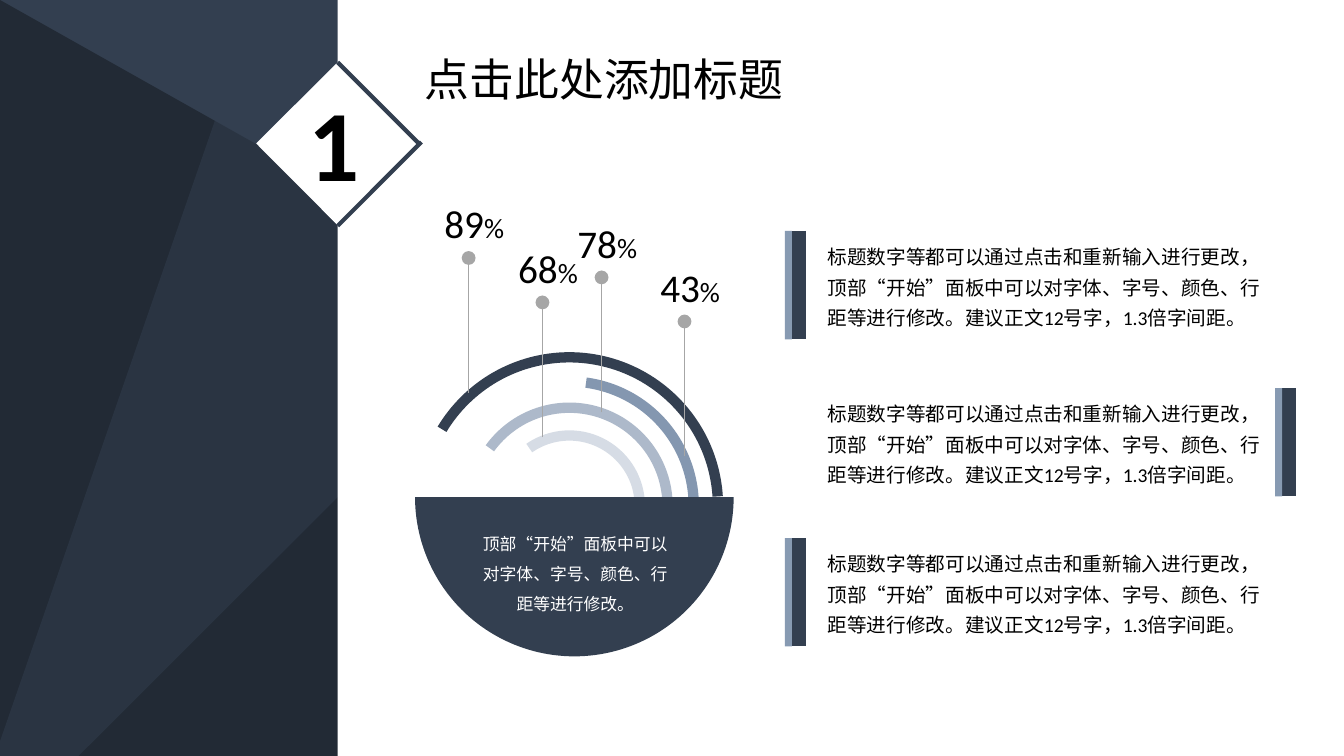
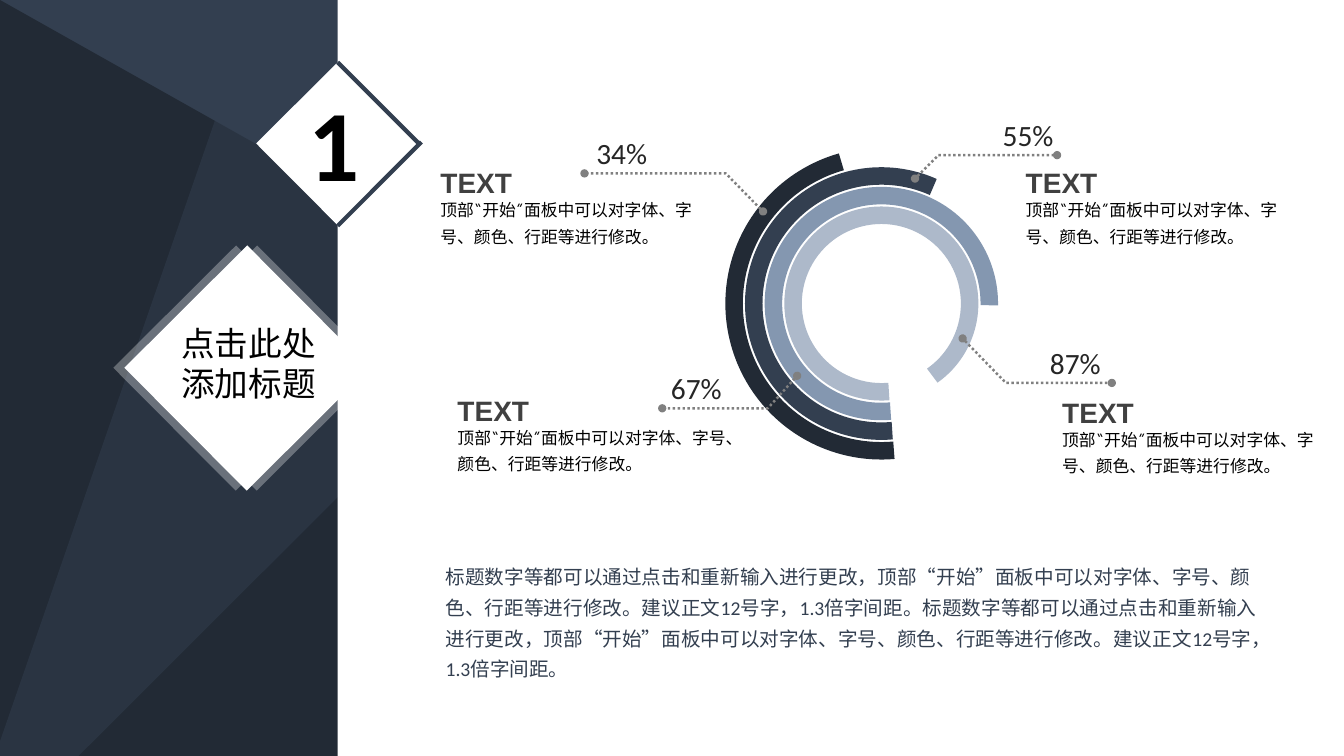
from lxml import etree
from pptx import Presentation
from pptx.dml.color import RGBColor
from pptx.enum.dml import MSO_LINE
from pptx.enum.shapes import MSO_CONNECTOR, MSO_SHAPE
from pptx.enum.text import MSO_AUTO_SIZE, PP_ALIGN
from pptx.oxml.ns import qn
from pptx.util import Cm, Pt

RECT = MSO_SHAPE.RECTANGLE
TRI = MSO_SHAPE.ISOSCELES_TRIANGLE
LINE = MSO_CONNECTOR.STRAIGHT
DOTS = MSO_LINE.ROUND_DOT
FIT = MSO_AUTO_SIZE.SHAPE_TO_FIT_TEXT
CENTER = PP_ALIGN.CENTER

NIGHT, NAVY, STEEL, MIST, PALE = "222A35", "333F50", "8497B0", "ADB9CA", "D6DCE5"
WHITE, BLACK = "FFFFFF", "000000"
HAN, LATIN, SMALL, HEAD = "Noto Sans CJK SC", "Calibri", "TeX Gyre Adventor", "Arial"
WIDE, HIGH = 33.87, 19.05

TITLE = "点击此处添加标题"
HINT = "顶部“开始”面板中可以对字体、字号、颜色、行距等进行修改。"
BODY = "标题数字等都可以通过点击和重新输入进行更改，" + HINT + "建议正文12号字，1.3倍字间距。"

hue = RGBColor.from_string


def paint(shape, fill=None, line=None, width=0, alpha=None, dash=None, ends=(), dot="med"):
    """Set fill, line, opacity in percent and round line ends; drop the shadow."""
    if fill:
        shape.fill.solid()
        shape.fill.fore_color.rgb = hue(fill)
    elif hasattr(shape, "fill"):
        shape.fill.background()
    if line:
        shape.line.color.rgb = hue(line)
        shape.line.width = Pt(width)
        if dash:
            shape.line.dash_style = dash
    else:
        shape.line.fill.background()
    props = shape.element.spPr
    for end in ends:
        etree.SubElement(props.find(qn("a:ln")), qn("a:" + end), type="oval", w=dot, len=dot)
    if alpha:
        tint = props.find(".//" + qn("a:srgbClr"))
        etree.SubElement(tint, qn("a:alpha"), val=str(alpha * 1000))
    etree.SubElement(props, qn("a:effectLst"))


def write(slide, x, y, w, h, text, size, color=BLACK, latin=LATIN, han=HAN, bold=False,
          wrap=True, pad=(0.25, 0.13), space=None, before=None, align=None, unit=""):
    """Add a text box; a unit follows the text in a smaller size."""
    frame = slide.shapes.add_textbox(Cm(x), Cm(y), Cm(w), Cm(h)).text_frame
    frame.word_wrap = wrap
    frame.auto_size = FIT
    frame.margin_left = frame.margin_right = Cm(pad[0])
    frame.margin_top = frame.margin_bottom = Cm(pad[1])
    frame.text = text
    for para in frame.paragraphs:
        para.line_spacing = space
        para.space_before = before
        para.alignment = align
        if unit:
            para.add_run().text = unit
        for run, points in zip(para.runs, (size, 20)):
            run.font.size = Pt(points)
            run.font.bold = bold
            run.font.name = latin
            run.font.color.rgb = hue(color)
            etree.SubElement(run.font._element, qn("a:ea"), typeface=han)


deck = Presentation()
deck.slide_width, deck.slide_height = Cm(WIDE), Cm(HIGH)
blank = deck.slide_layouts[6]
first, second = (deck.slides.add_slide(blank) for _ in range(2))

# Faceted backdrop, moved to the layout
blank.background.fill.solid()
blank.background.fill.fore_color.rgb = hue(NAVY)
facets = [
    (TRI, 0, 0, WIDE, HIGH, 0, 0, NIGHT, None),
    (MSO_SHAPE.PARALLELOGRAM, -1.8, 4.27, 37.44, 10.49, 346.3, 0.25, NIGHT, 50),
    (TRI, 3, -2.95, 13.74, 28.24, 199.1, 1, NAVY, 50),
]
for kind, x, y, w, h, turn, bend, color, alpha in facets:
    facet = first.shapes.add_shape(kind, Cm(x), Cm(y), Cm(w), Cm(h))
    facet.rotation = turn
    facet.adjustments[0] = bend
    paint(facet, color, alpha=alpha)
    blank.shapes.element.append(facet.element)

# White panel and numbered diamond
for slide in (first, second):
    panel = slide.shapes.add_shape(RECT, Cm(8.51), 0, Cm(WIDE - 8.51), Cm(HIGH))
    paint(panel, WHITE)
    badge = slide.shapes.add_shape(RECT, Cm(7.06), Cm(2.16), Cm(2.92), Cm(2.92))
    badge.rotation = 45.1
    paint(badge, WHITE)
    for ax, ay, bx, by in [(8.51, 1.57, 10.57, 3.63), (10.62, 3.58, 8.51, 5.69)]:
        edge = slide.shapes.add_connector(LINE, Cm(ax), Cm(ay), Cm(bx), Cm(by))
        paint(edge, line=NAVY, width=3)
    write(slide, 7.52, 1.9, 1.9, 3.33, "1", 72, bold=True)

# Slide 1: title
write(first, 10.46, 1.17, 10.39, 1.63, TITLE, 32)

# Slide 1: half rings around one centre
rings = [(3.81, 141.17, PALE), (5.21, 129.57, MIST), (6.53, 166.62, STEEL), (7.75, 126.63, NAVY)]
for size, start, color in rings:
    ring = first.shapes.add_shape(MSO_SHAPE.BLOCK_ARC, Cm(14.35 - size / 2),
                                  Cm(12.75 - size / 2), Cm(size), Cm(size))
    for i, value in enumerate((start, 213.8, 0.26 / size)):
        ring.adjustments[i] = value
    paint(ring, color)

# Slide 1: bowl
bowl = first.shapes.add_shape(MSO_SHAPE.PIE, Cm(10.46), Cm(8.51), Cm(8.03), Cm(8.03))
bowl.adjustments[0], bowl.adjustments[1] = 0, 108
paint(bowl, NAVY)
write(first, 11.86, 13.06, 5.28, 2.46, HINT, 12, WHITE, space=1.5, before=Pt(6), align=CENTER)

# Slide 1: paragraphs with double bars
for x, y in [(20.14, 5.82), (32.49, 9.78), (20.14, 13.56)]:
    for left, color, width, alpha in [(x, NAVY, 10, None), (x - 0.27, STEEL, 5, 96)]:
        bar = first.shapes.add_connector(LINE, Cm(left), Cm(y), Cm(left), Cm(y + 2.73))
        paint(bar, line=color, width=width, alpha=alpha)
    write(first, 20.68, y + 0.08, 11.53, 2.51, BODY, 14, pad=(0.18, 0.1), space=1.3)

# Slide 1: pins with percentages
for x, y, value in [(13.67, 7.62, "68"), (15.16, 6.99, "78"), (17.25, 8.1, "43"), (11.81, 6.5, "89")]:
    pin = first.shapes.add_connector(LINE, Cm(x), Cm(y + 3.4), Cm(x), Cm(y))
    paint(pin, line="A6A6A6", width=1, ends=("tailEnd",), dot="lg")
    write(first, x - 0.86, y - 1.6, 2.46, 1.45, value, 28, unit="%")

# Slide 2: title diamond
for x, alpha in [(4.29, 30), (3.76, 30), (4.04, None)]:
    tile = second.shapes.add_shape(RECT, Cm(x), Cm(7.09), Cm(4.37), Cm(4.37))
    tile.rotation = 45.1
    paint(tile, WHITE, alpha=alpha)
write(second, 4.32, 8, 4.19, 2.31, TITLE[:4] + "\n" + TITLE[4:], 24)

# Slide 2: concentric arcs
arcs = [(194.87, MIST), (162.54, STEEL), (122.41, NAVY), (98.55, NIGHT)]
for i, (stop, color) in enumerate(arcs):
    size = 4.45 + 0.99 * i
    arc = second.shapes.add_shape(MSO_SHAPE.ARC, Cm(22.21 - size / 2), Cm(7.65 - size / 2),
                                  Cm(size), Cm(size))
    arc.rotation = 90
    arc.adjustments[0], arc.adjustments[1] = 213.06, stop
    paint(arc, line=color, width=12.5)

# Slide 2: leader points, label with its left edge, note with its place and width
notes = [
    ([(19.23, 5.33), (18.29, 4.37), (14.73, 4.37)], "34%", 14.78, 10.85, 4.04, 7.16),
    ([(23.06, 4.5), (23.65, 3.91), (26.64, 3.91)], "55%", 25.02, 25.6, 4.04, 7.06),
    ([(20.09, 9.47), (19.35, 10.29), (16.69, 10.29)], "67%", 16.66, 11.28, 9.78, 7.32),
    ([(24.26, 8.53), (25.35, 9.65), (28.02, 9.65)], "87%", 26.21, 26.52, 9.83, 7.04),
]
for points, label, left, x, y, w in notes:
    start, *rest = [(Cm(px), Cm(py)) for px, py in points]
    path = second.shapes.build_freeform(*start)
    path.add_line_segments(rest, close=False)
    paint(path.convert_to_shape(), line="808080", width=1.75, dash=DOTS,
          ends=("headEnd", "tailEnd"))
    write(second, left, points[-1][1] - 1.09, 1.8, 1.14, label, 21, "262626", wrap=False)
    write(second, x, y + 0.72, w, 2.92, HINT, 12, latin=SMALL, han=SMALL, space=1.3)
    write(second, x, y, 3.76, 1.12, "TEXT", 20, "404040", latin=HEAD, bold=True, wrap=False)

# Slide 2: closing paragraph
write(second, 11.05, 13.97, 20.98, 3.23, BODY * 2, 14, NAVY, pad=(0.18, 0.1), space=1.3)

deck.save("out.pptx")
